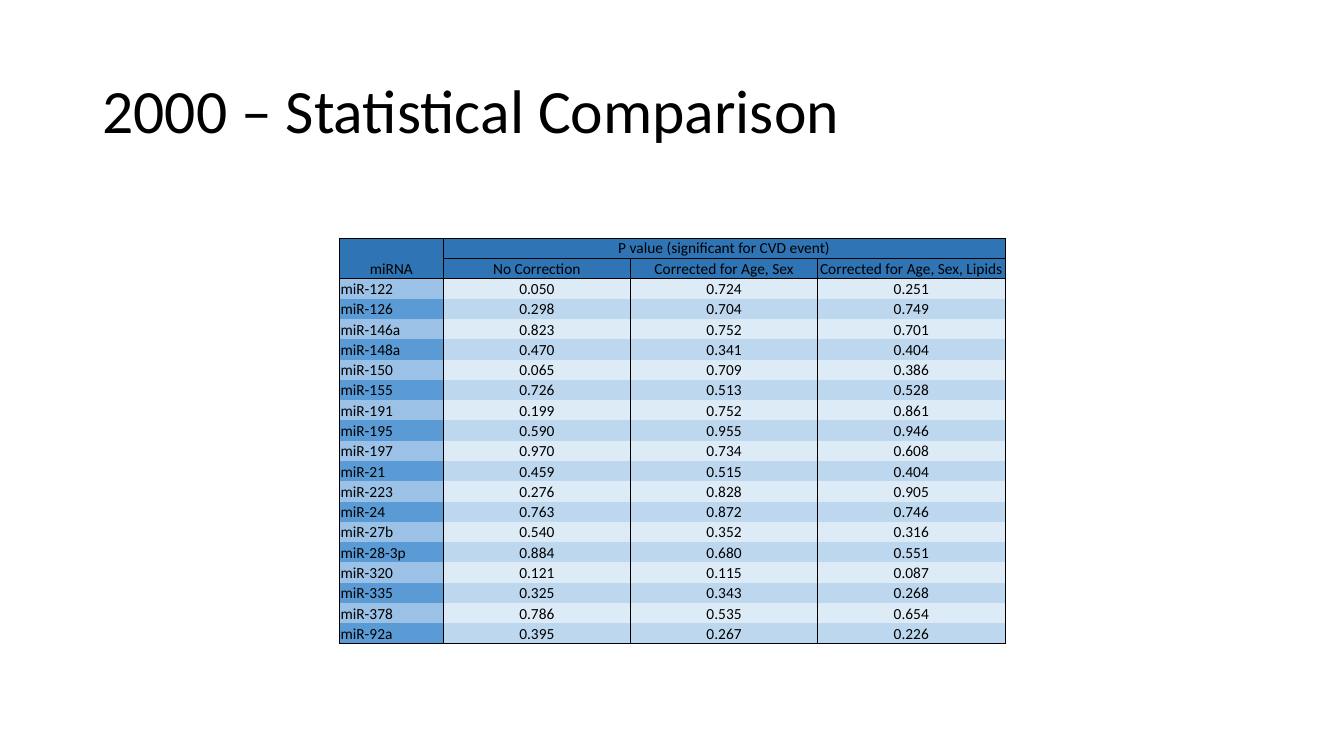
from typing import NamedTuple

from lxml.etree import SubElement
from pptx import Presentation
from pptx.dml.color import RGBColor
from pptx.enum.text import MSO_ANCHOR, PP_ALIGN
from pptx.oxml.ns import qn
from pptx.table import Table, _Cell
from pptx.text.text import TextFrame
from pptx.util import Inches, Pt

FONT = "Calibri"
BLACK = "000000"
HEADER_FILL = "2F75B5"
LABEL_FILLS = ("9BC2E6", "5B9BD5")
VALUE_FILLS = ("DDEBF7", "BDD7EE")
HEADER_ROWS = 2
LABEL_COLUMN_SHARE = 0.156


class Area(NamedTuple):
    """A rectangle in percent of the slide's width and height."""
    left: float
    top: float
    width: float
    height: float


class Marker(NamedTuple):
    name: str
    p_values: tuple[str, str, str]


TITLE_AREA = Area(6.88, 5.32, 86.25, 19.33)
TABLE_AREA = Area(25.26, 31.47, 49.51, 53.73)
CORRECTIONS = ("No Correction", "Corrected for Age, Sex", "Corrected for Age, Sex, Lipids")
MARKERS = (
    Marker("miR-122", ("0.050", "0.724", "0.251")),
    Marker("miR-126", ("0.298", "0.704", "0.749")),
    Marker("miR-146a", ("0.823", "0.752", "0.701")),
    Marker("miR-148a", ("0.470", "0.341", "0.404")),
    Marker("miR-150", ("0.065", "0.709", "0.386")),
    Marker("miR-155", ("0.726", "0.513", "0.528")),
    Marker("miR-191", ("0.199", "0.752", "0.861")),
    Marker("miR-195", ("0.590", "0.955", "0.946")),
    Marker("miR-197", ("0.970", "0.734", "0.608")),
    Marker("miR-21", ("0.459", "0.515", "0.404")),
    Marker("miR-223", ("0.276", "0.828", "0.905")),
    Marker("miR-24", ("0.763", "0.872", "0.746")),
    Marker("miR-27b", ("0.540", "0.352", "0.316")),
    Marker("miR-28-3p", ("0.884", "0.680", "0.551")),
    Marker("miR-320", ("0.121", "0.115", "0.087")),
    Marker("miR-335", ("0.325", "0.343", "0.268")),
    Marker("miR-378", ("0.786", "0.535", "0.654")),
    Marker("miR-92a", ("0.395", "0.267", "0.226")),
)


def color(hex_code: str) -> RGBColor:
    return RGBColor.from_string(hex_code)


def place(area: Area, presentation) -> tuple[int, int, int, int]:
    """Turn an area into left, top, width and height in EMU."""
    width, height = presentation.slide_width, presentation.slide_height
    sizes = (width, height, width, height)
    return tuple(round(size * percent / 100) for size, percent in zip(sizes, area))


def write_text(text_frame: TextFrame, text: str, *, size: float,
               align: PP_ALIGN = PP_ALIGN.LEFT, line_spacing: float = 1.0) -> None:
    paragraph = text_frame.paragraphs[0]
    paragraph.alignment = align
    paragraph.line_spacing = line_spacing
    run = paragraph.add_run()
    run.text = text
    run.font.name = FONT
    run.font.size = Pt(size)
    run.font.color.rgb = color(BLACK)


def set_borders(cell: _Cell, sides: str) -> None:
    """Draw thin black borders on the given sides (of LRTB) and clear the others."""
    properties = cell._tc.get_or_add_tcPr()
    for position, side in enumerate("LRTB"):
        line = SubElement(properties, qn(f"a:ln{side}"), w=str(Pt(0.5)))
        properties.insert(position, line)
        if side in sides:
            fill = SubElement(line, qn("a:solidFill"))
            SubElement(fill, qn("a:srgbClr"), val=BLACK)
        else:
            SubElement(line, qn("a:noFill"))


def format_cell(cell: _Cell, text: str, *, fill: str, sides: str,
                align: PP_ALIGN = PP_ALIGN.CENTER) -> None:
    cell.fill.solid()
    cell.fill.fore_color.rgb = color(fill)
    cell.vertical_anchor = MSO_ANCHOR.BOTTOM
    cell.margin_left = cell.margin_right = cell.margin_top = Inches(0.01)
    cell.margin_bottom = 0
    set_borders(cell, sides)
    write_text(cell.text_frame, text, size=11, align=align)


def fill_header(table: Table) -> None:
    rows = (("miRNA", "P value (significant for CVD event)", "", ""), ("", *CORRECTIONS))
    for row, texts in enumerate(rows):
        for column, text in enumerate(texts):
            format_cell(table.cell(row, column), text, fill=HEADER_FILL, sides="LRTB")
    table.cell(0, 0).merge(table.cell(1, 0))
    table.cell(0, 1).merge(table.cell(0, len(CORRECTIONS)))


def fill_markers(table: Table) -> None:
    for index, marker in enumerate(MARKERS):
        row = HEADER_ROWS + index
        sides = "LR"
        if index == 0:
            sides += "T"
        if index == len(MARKERS) - 1:
            sides += "B"
        format_cell(table.cell(row, 0), marker.name, fill=LABEL_FILLS[index % 2],
                    sides=sides, align=PP_ALIGN.LEFT)
        for column, p_value in enumerate(marker.p_values, start=1):
            format_cell(table.cell(row, column), p_value, fill=VALUE_FILLS[index % 2], sides=sides)


def add_p_value_table(slide, presentation) -> None:
    left, top, width, height = place(TABLE_AREA, presentation)
    row_count = HEADER_ROWS + len(MARKERS)
    table = slide.shapes.add_table(row_count, 1 + len(CORRECTIONS), left, top, width, height).table
    table.first_row = table.horz_banding = False
    label_width = round(width * LABEL_COLUMN_SHARE)
    for index, column in enumerate(table.columns):
        column.width = (width - label_width) // len(CORRECTIONS) if index else label_width
    for row in table.rows:
        row.height = height // row_count
    fill_header(table)
    fill_markers(table)


def add_title(slide, presentation) -> None:
    title = slide.shapes.title
    title.left, title.top, title.width, title.height = place(TITLE_AREA, presentation)
    title.text_frame.vertical_anchor = MSO_ANCHOR.MIDDLE
    write_text(title.text_frame, "2000 – Statistical Comparison", size=44, line_spacing=0.9)


def main() -> None:
    presentation = Presentation()
    presentation.slide_width, presentation.slide_height = Inches(13.33), Inches(7.5)
    slide = presentation.slides.add_slide(presentation.slide_layouts.get_by_name("Title Only"))
    add_title(slide, presentation)
    add_p_value_table(slide, presentation)
    presentation.save("out.pptx")


if __name__ == "__main__":
    main()
